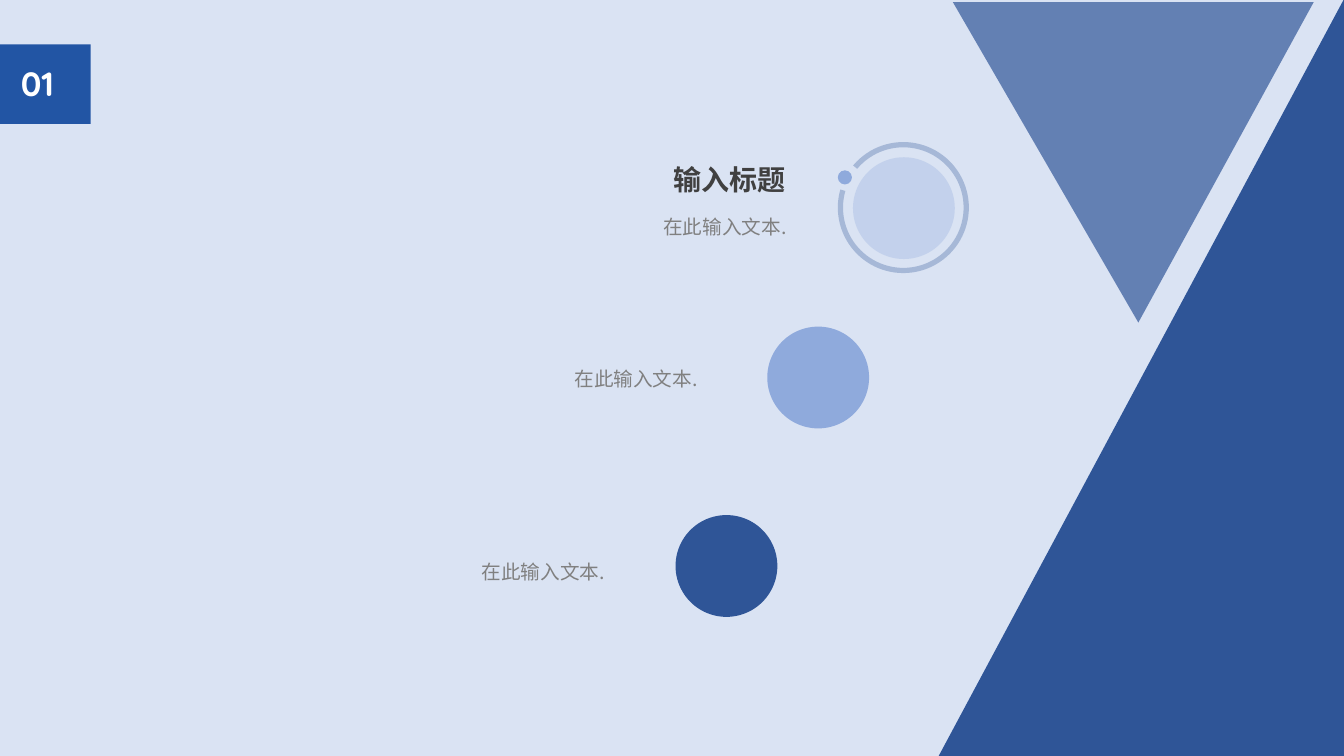
from dataclasses import dataclass

from lxml import etree
from pptx import Presentation
from pptx import util as u
from pptx.dml.color import RGBColor
from pptx.enum import shapes, text
from pptx.oxml import ns

PALE = RGBColor(0xDA, 0xE3, 0xF3)
BADGE = RGBColor(0x22, 0x55, 0xA4)
NAVY = RGBColor(0x2F, 0x55, 0x97)
SKY = RGBColor(0x8F, 0xAA, 0xDC)
WHITE = RGBColor(0xFF, 0xFF, 0xFF)
DARK = RGBColor(0x40, 0x40, 0x40)
GREY = RGBColor(0x80, 0x80, 0x80)
CHINESE_FONT = "Noto Sans CJK SC"
NUMBER_FONT = "Quicksand"
DISC_SIZE = 1.01
CAPTION_WIDTH = 4.43
KIND = shapes.MSO_SHAPE


@dataclass(frozen=True)
class Figure:
    kind: shapes.MSO_SHAPE
    left: float
    top: float
    width: float
    height: float
    color: RGBColor
    opacity: int = 100
    rotation: float = 0
    adjustments: tuple[float, ...] = ()


@dataclass(frozen=True)
class Label:
    words: str
    left: float
    top: float
    width: float
    height: float
    size: int
    color: RGBColor
    bold: bool = False
    font: str = CHINESE_FONT
    align: text.PP_ALIGN = text.PP_ALIGN.RIGHT


@dataclass(frozen=True)
class Step:
    disc_left: float
    disc_top: float
    caption_right: float
    caption_top: float
    color: RGBColor
    opacity: int = 100


def arc_angle(degrees: float) -> float:
    """Convert degrees to the adjustment scale of a block arc."""
    return degrees * 0.6


STEPS = [
    Step(8.46, 1.56, 7.9, 2.08, SKY, 30),
    Step(7.61, 3.24, 7.02, 3.59, SKY),
    Step(6.7, 5.11, 6.1, 5.51, NAVY),
]

FIGURES = [
    Figure(KIND.RECTANGLE, 0, 0.44, 0.9, 0.79, BADGE),
    Figure(KIND.BLOCK_ARC, 8.31, 1.41, 1.3, 1.3, NAVY, 30,
           adjustments=(arc_angle(220), arc_angle(196), 0.04)),
    Figure(KIND.OVAL, 8.31, 1.69, 0.14, 0.14, SKY),
    *(Figure(KIND.OVAL, step.disc_left, step.disc_top, DISC_SIZE, DISC_SIZE,
             step.color, step.opacity) for step in STEPS),
    Figure(KIND.ISOSCELES_TRIANGLE, 9.45, 0.02, 3.58, 3.18, NAVY, 69, 180, (0.486,)),
    Figure(KIND.ISOSCELES_TRIANGLE, 9.31, -0.01, 4.02, 7.51, NAVY, adjustments=(1,)),
]

LABELS = [
    Label("01", 0.11, 0.58, 0.69, 0.5, 24, WHITE, True, NUMBER_FONT, text.PP_ALIGN.LEFT),
    Label("输入标题", 5.22, 1.56, 2.67, 0.44, 20, DARK, True),
    *(Label("在此输入文本.", step.caption_right - CAPTION_WIDTH, step.caption_top,
            CAPTION_WIDTH, 0.34, 14, GREY) for step in STEPS),
]


def draw_figure(page, figure: Figure) -> None:
    shape = page.shapes.add_shape(
        figure.kind, u.Inches(figure.left), u.Inches(figure.top),
        u.Inches(figure.width), u.Inches(figure.height))
    shape.shadow.inherit = False
    shape.rotation = figure.rotation
    for index, value in enumerate(figure.adjustments):
        shape.adjustments[index] = value
    shape.fill.solid()
    shape.fill.fore_color.rgb = figure.color
    shape.line.fill.background()
    if figure.opacity < 100:
        color = shape.fill._xPr.find(".//" + ns.qn("a:srgbClr"))
        etree.SubElement(color, ns.qn("a:alpha"), val=str(figure.opacity * 1000))


def draw_label(page, label: Label) -> None:
    box = page.shapes.add_textbox(
        u.Inches(label.left), u.Inches(label.top),
        u.Inches(label.width), u.Inches(label.height))
    frame = box.text_frame
    frame.word_wrap = True
    frame.auto_size = text.MSO_AUTO_SIZE.SHAPE_TO_FIT_TEXT
    para = frame.paragraphs[0]
    para.alignment = label.align
    span = para.add_run()
    span.text = label.words
    span.font.size = u.Pt(label.size)
    span.font.bold = label.bold
    span.font.color.rgb = label.color
    span.font.name = label.font
    etree.SubElement(span.font._rPr, ns.qn("a:ea"), typeface=label.font)


def main() -> None:
    deck = Presentation()
    deck.slide_width = u.Inches(13.33)
    deck.slide_height = u.Inches(7.5)
    page = deck.slides.add_slide(deck.slide_layouts[6])
    page.background.fill.solid()
    page.background.fill.fore_color.rgb = PALE
    for figure in FIGURES:
        draw_figure(page, figure)
    for label in LABELS:
        draw_label(page, label)
    deck.save("out.pptx")


if __name__ == "__main__":
    main()
